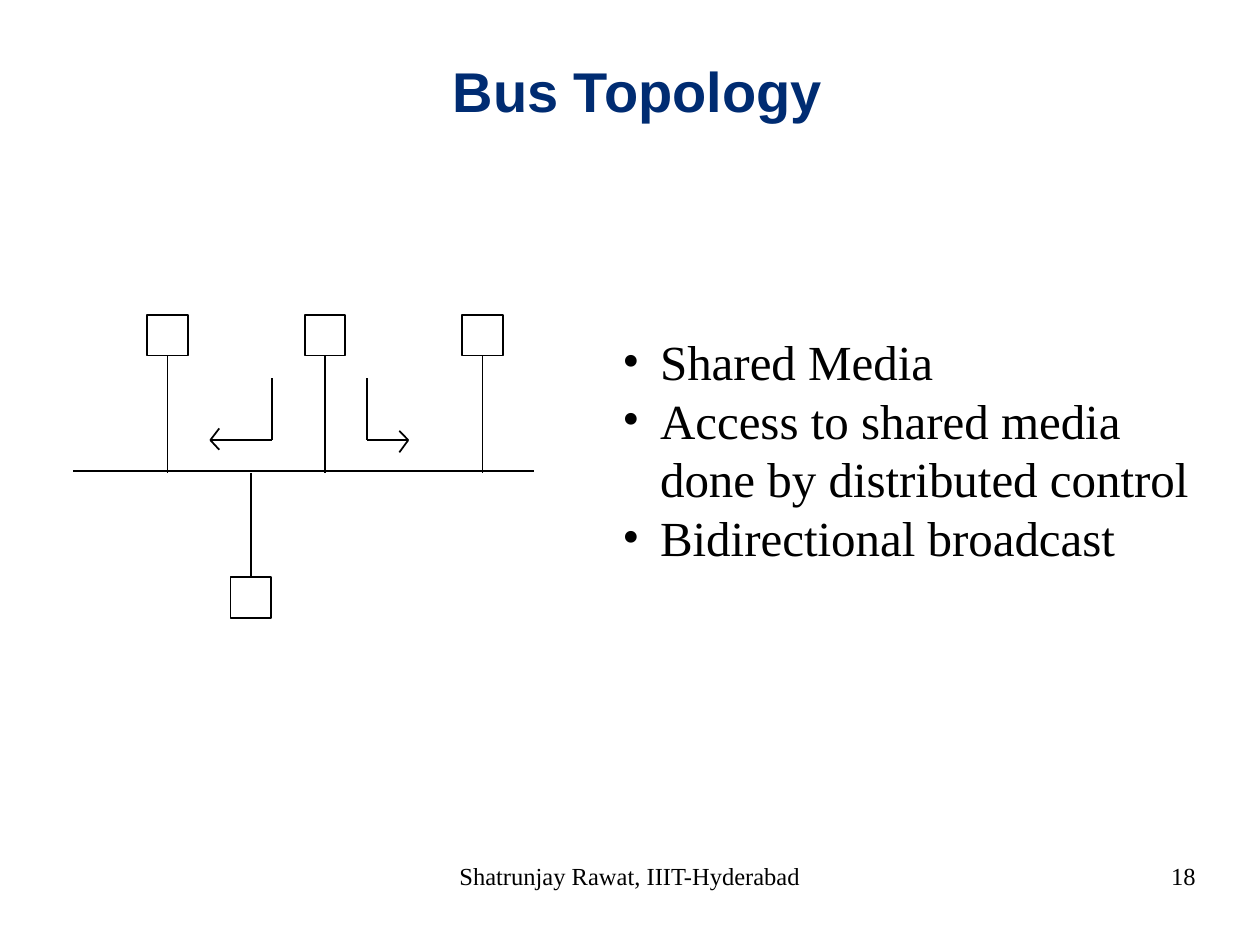
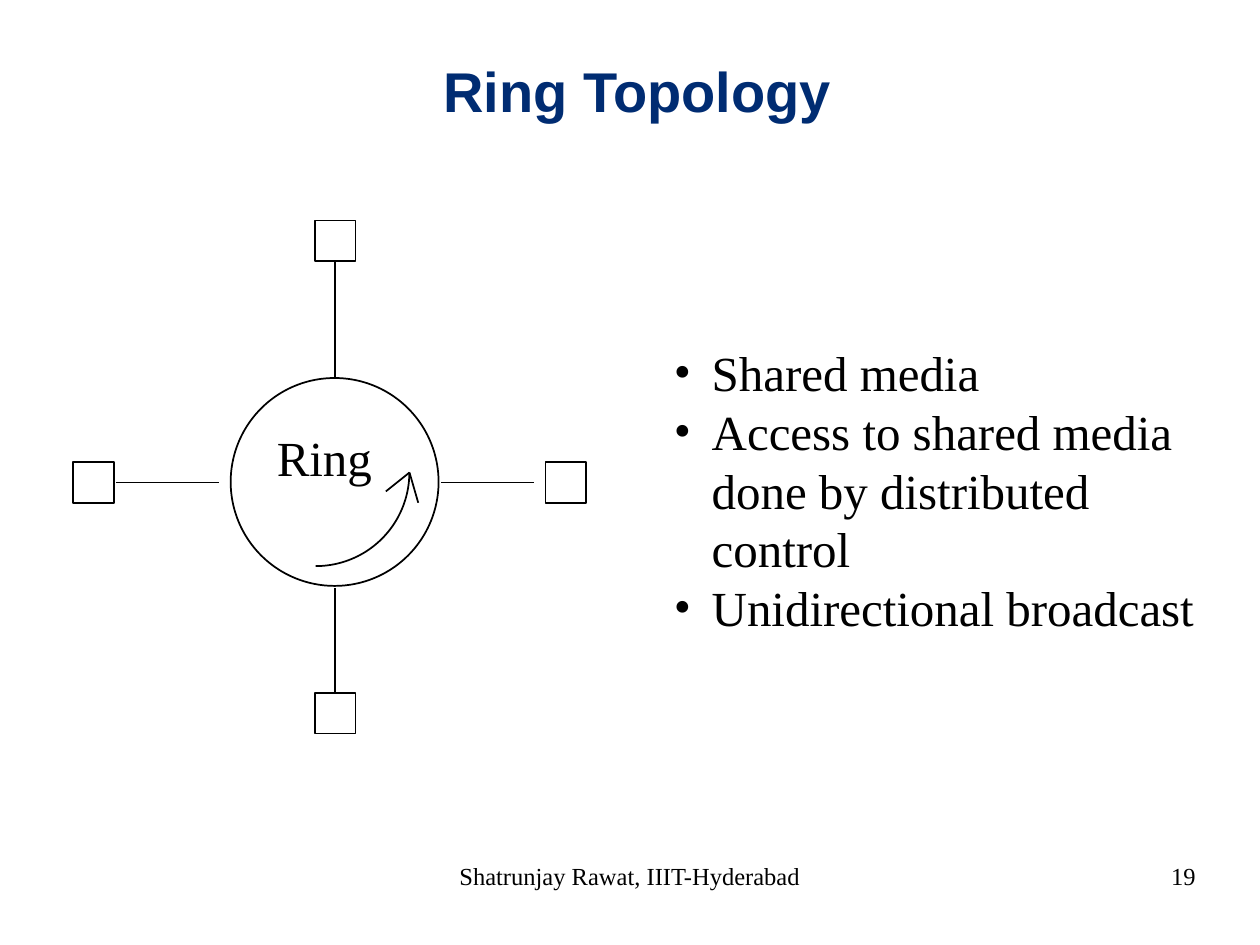
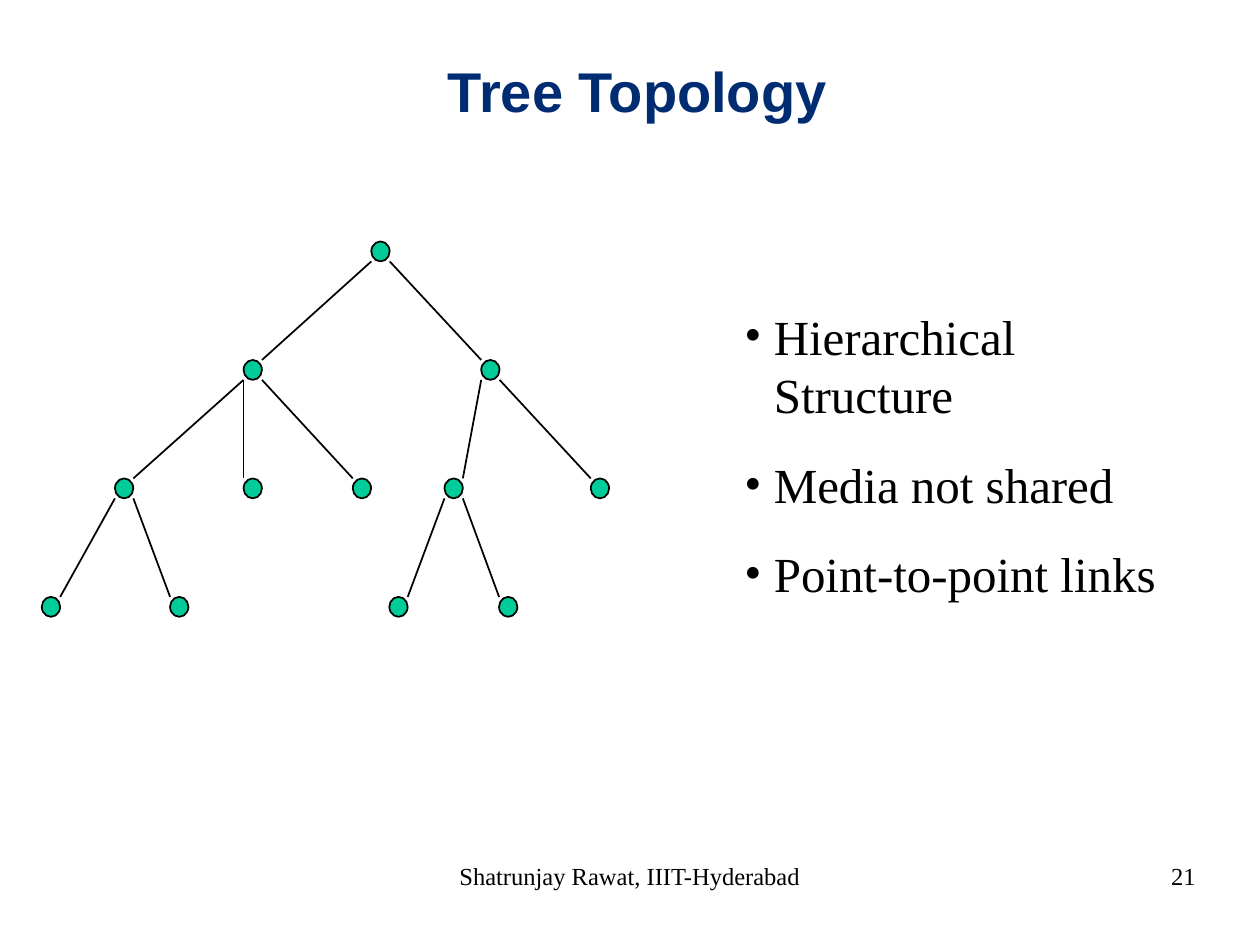
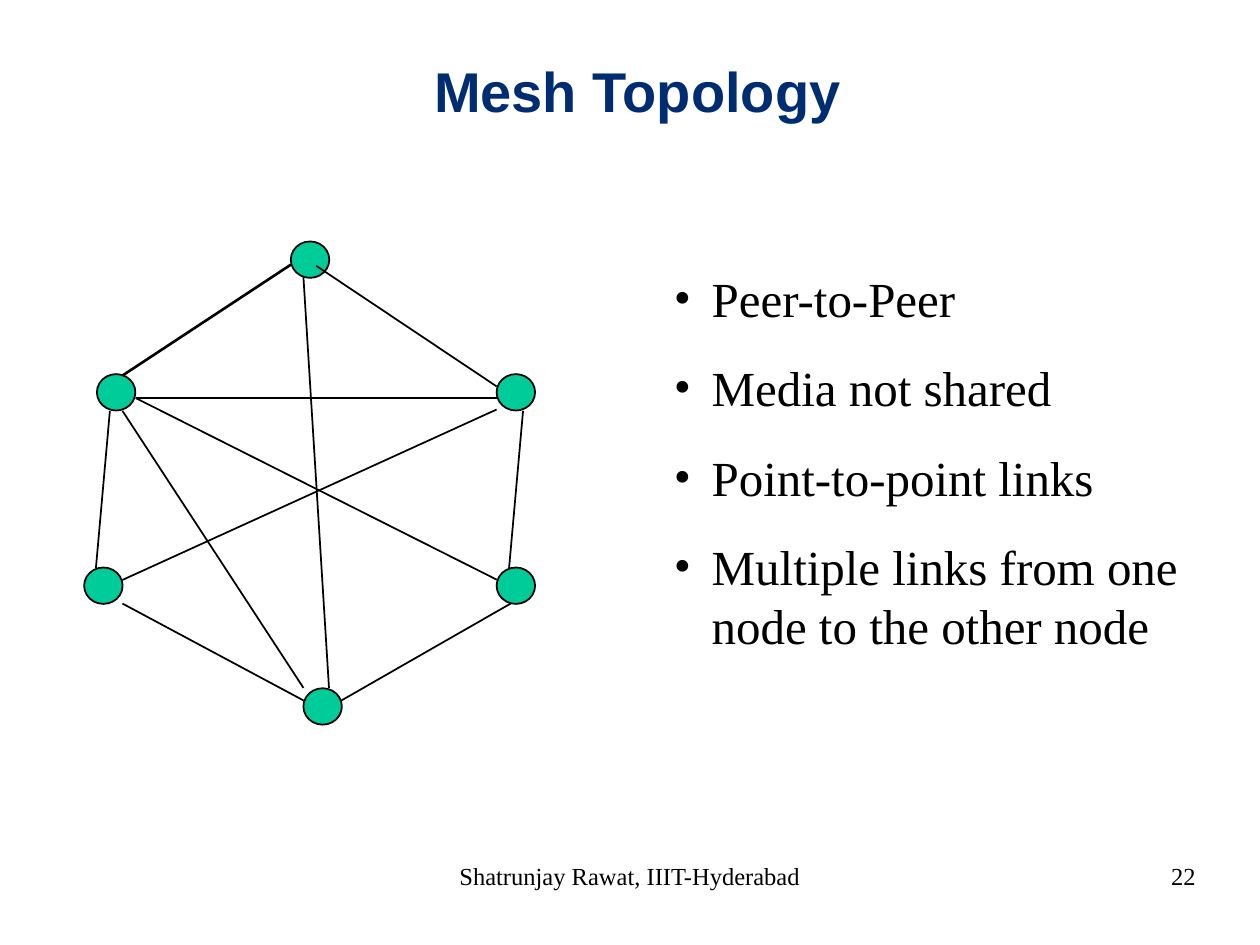
from dataclasses import dataclass

from lxml.etree import SubElement
from pptx import Presentation
from pptx.dml.color import RGBColor
from pptx.enum.shapes import MSO_CONNECTOR, MSO_SHAPE
from pptx.enum.text import MSO_ANCHOR, MSO_AUTO_SIZE, PP_ALIGN
from pptx.oxml.ns import qn
from pptx.util import Pt


@dataclass(frozen=True)
class Theme:
    ink: RGBColor = RGBColor(0x00, 0x00, 0x00)
    title_color: RGBColor = RGBColor(0x00, 0x2C, 0x72)
    node_fill: RGBColor = RGBColor(0x00, 0xCC, 0x99)
    title_font: str = "Arial"
    body_font: str = "Times New Roman"
    title_size: int = 32
    body_size: int = 28
    footer_size: int = 14
    line_width: float = 1


THEME = Theme()
FOOTER = "Shatrunjay Rawat, IIIT-Hyderabad"


def add_line(slide, start_x, start_y, end_x, end_y, width=THEME.line_width):
    line = slide.shapes.add_connector(
        MSO_CONNECTOR.STRAIGHT, Pt(start_x), Pt(start_y), Pt(end_x), Pt(end_y))
    line.line.color.rgb = THEME.ink
    line.line.width = Pt(width)
    SubElement(line._element.spPr, qn("a:effectLst"))


def add_outlined(slide, kind, left, top, width, height, fill=None):
    """Add a preset shape with the common outline, hollow unless a fill is given."""
    shape = slide.shapes.add_shape(kind, Pt(left), Pt(top), Pt(width), Pt(height))
    shape.shadow.inherit = False
    shape.line.color.rgb = THEME.ink
    shape.line.width = Pt(THEME.line_width)
    if fill is None:
        shape.fill.background()
    else:
        shape.fill.solid()
        shape.fill.fore_color.rgb = fill
    return shape


presentation = Presentation()
presentation.slide_width, presentation.slide_height = Pt(720), Pt(540)

# Title, page number, bullet box, bullet indent, space before, bullets
topics = [
    ("Bus Topology", "18", (348.5, 185.8, 353, 141), 21.6, 0,
     ["Shared Media", "Access to shared media done by distributed control",
      "Bidirectional broadcast"]),
    ("Ring Topology", "19", (378, 192.2, 329.8, 175), 21.6, 0,
     ["Shared media", "Access to shared media done by distributed control",
      "Unidirectional broadcast"]),
    ("Tree Topology", "21", (418.3, 171.4, 271.4, 177), 16.8, 17.5,
     ["Hierarchical Structure", "Media not shared", "Point-to-point links"]),
    ("Mesh Topology", "22", (378, 149.8, 329.8, 278.6), 21.6, 17.5,
     ["Peer-to-Peer", "Media not shared", "Point-to-point links",
      "Multiple links from one node to the other node"]),
]

# Titles, bullets and footers
slides = []
for title_text, page, bullet_box, indent, space_before, bullets in topics:
    slide = presentation.slides.add_slide(presentation.slide_layouts[5])
    slides.append(slide)
    title = slide.shapes.title
    title.left, title.top, title.width, title.height = Pt(79.2), Pt(27.6), Pt(570.2), Pt(48.2)
    title.text_frame.text = title_text
    title.text_frame.auto_size = MSO_AUTO_SIZE.NONE
    title.text_frame.vertical_anchor = MSO_ANCHOR.MIDDLE
    title.text_frame.paragraphs[0].alignment = PP_ALIGN.CENTER
    font = title.text_frame.paragraphs[0].runs[0].font
    font.name, font.size, font.bold = THEME.title_font, Pt(THEME.title_size), True
    font.color.rgb = THEME.title_color

    text_blocks = [
        (bullet_box, bullets, THEME.body_size, PP_ALIGN.LEFT),
        ((246.2, 491.8, 227.5, 36.7), [FOOTER], THEME.footer_size, PP_ALIGN.CENTER),
        ((516.2, 491.8, 167, 36.7), [page], THEME.footer_size, PP_ALIGN.RIGHT),
    ]
    if title_text == "Ring Topology":
        text_blocks.append(((145.4, 240.5, 80, 40.3), ["Ring"],
                            THEME.body_size, PP_ALIGN.CENTER))
    for box, lines, size, alignment in text_blocks:
        text_box = slide.shapes.add_textbox(*(Pt(length) for length in box))
        frame = text_box.text_frame
        frame.text = "\n".join(lines)
        frame.word_wrap = True
        if size == THEME.footer_size:
            frame.margin_left = frame.margin_right = 0
            frame.margin_top = frame.margin_bottom = 0
        for paragraph in frame.paragraphs:
            paragraph.alignment = alignment
            font = paragraph.runs[0].font
            font.name, font.size = THEME.body_font, Pt(size)
            font.color.rgb = THEME.ink
            if lines is bullets:
                paragraph.space_before = Pt(space_before)
                properties = paragraph._p.get_or_add_pPr()
                properties.set("marL", str(Pt(indent)))
                properties.set("indent", str(-Pt(indent)))
                SubElement(properties, qn("a:buFont"), typeface=THEME.body_font)
                SubElement(properties, qn("a:buChar"), char="•")

bus_slide, ring_slide, tree_slide, mesh_slide = slides
STATION = 23.2

# Bus: stations hang on one shared line, arrows show both directions
BUS_Y = 269.3
add_line(bus_slide, 41.8, BUS_Y, 305.3, BUS_Y)
for column in range(3):
    left = 84.2 + 90 * column
    add_outlined(bus_slide, MSO_SHAPE.RECTANGLE, left, 180, STATION, STATION)
    add_line(bus_slide, left + STATION / 2, 180 + STATION, left + STATION / 2, BUS_Y + 1)
add_outlined(bus_slide, MSO_SHAPE.RECTANGLE, 131.8, 329.8, STATION, STATION)
add_line(bus_slide, 131.8 + STATION / 2, BUS_Y + 1, 131.8 + STATION / 2, 329.3)

ARROW_Y = 251.5
for stem_x, tip_x, barb_x, barb_top, barb_bottom in [
        (155.4, 120.2, 125.3, 244.8, 257), (209.6, 233.3, 228.2, 246.2, 258.5)]:
    add_line(bus_slide, stem_x, 216, stem_x, ARROW_Y)
    add_line(bus_slide, stem_x, ARROW_Y, tip_x, ARROW_Y)
    for barb_y in (barb_top, barb_bottom):
        add_line(bus_slide, barb_x, barb_y, tip_x, ARROW_Y)

# Ring: four stations around a circle, an arc shows the direction
add_outlined(ring_slide, MSO_SHAPE.OVAL, 131.8, 216, 118.8, 118.8)
for left, top in [(180, 126), (180, 396), (41.8, 264.2), (311.8, 264.2)]:
    add_outlined(ring_slide, MSO_SHAPE.RECTANGLE, left, top, STATION, STATION)
for link in [(191.5, 149.8, 191.5, 215.3), (191.5, 336.2, 191.5, 395.3),
             (66.2, 275.8, 125.3, 275.8), (252, 275.8, 305.3, 275.8)]:
    add_line(ring_slide, *link)
arc = add_outlined(ring_slide, MSO_SHAPE.ARC, 126.9, 216.5, 107, 107)
arc.adjustments[0], arc.adjustments[1] = 0, 54
for barb_x, barb_y in [(220.5, 280.8), (239, 287.3)]:
    add_line(ring_slide, 234, 270, barb_x, barb_y)

# Tree: left edge, level and parent of each node
TREE_TOP, LEVEL_STEP, NODE_WIDTH, NODE_HEIGHT = 138, 67.7, 10.5, 11.4
tree_nodes = [
    (212.2, 0, None),
    (139.2, 1, 0), (275, 1, 0),
    (65.7, 2, 1), (139.2, 2, 1), (201.6, 2, 1), (254, 2, 2), (337.6, 2, 2),
    (23.9, 3, 3), (97.2, 3, 3), (222.5, 3, 6), (285.2, 3, 6),
]
for left, level, parent in tree_nodes:
    top = TREE_TOP + LEVEL_STEP * level
    add_outlined(tree_slide, MSO_SHAPE.FLOWCHART_CONNECTOR, left, top,
                 NODE_WIDTH, NODE_HEIGHT, THEME.node_fill)
    if parent is not None:
        parent_left = tree_nodes[parent][0]
        start_x = parent_left + NODE_WIDTH if left > parent_left else parent_left
        end_x = left + NODE_WIDTH if left < parent_left else left
        add_line(tree_slide, start_x, top - LEVEL_STEP + NODE_HEIGHT, end_x, top)

# Mesh: six nodes and the links between them
for left, top in [(166.2, 138), (173.4, 393.3), (55.4, 213.8),
                  (283.8, 213.8), (48.1, 324.3), (283.8, 324.3)]:
    add_outlined(mesh_slide, MSO_SHAPE.FLOWCHART_CONNECTOR, left, top, 22, 20.8,
                 THEME.node_fill)
add_line(mesh_slide, 70, 214.6, 166.3, 151.2, 1.5)
for link in [
        (62.8, 234.8, 54.8, 324.7), (70, 344.9, 173.5, 400.3),
        (298.9, 234.8, 290.9, 324.7), (180.7, 151.9, 283.8, 220.8),
        (291.8, 344.9, 195.1, 400.3), (173.4, 158.4, 188, 393.1),
        (70, 331.4, 283.8, 234), (77.6, 227.5, 283.8, 331.2),
        (77.6, 227.6, 283.8, 227.6), (70, 234.8, 173.4, 393.1)]:
    add_line(mesh_slide, *link)

presentation.save("out.pptx")
